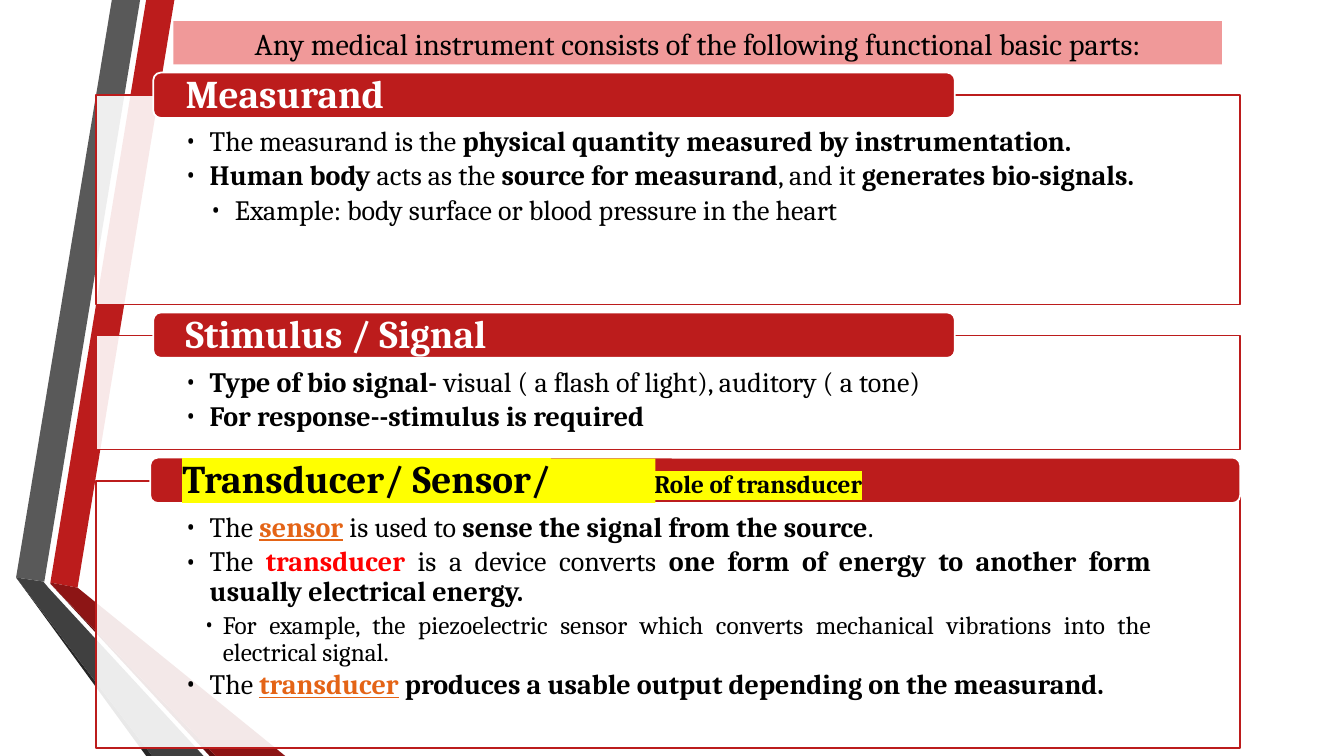
from pptx import Presentation
from pptx import util as u
from pptx.dml.color import RGBColor
from pptx.enum import shapes, text
from pptx.oxml.ns import qn
from lxml import etree

FONT = "Cambria"
RED, WHITE, BLACK, YELLOW = "BC1C1C", "FFFFFF", "000000", "FFFF00"
ORANGE, BRIGHT_RED = "E46416", "FF0000"
ROLE_TAB = 4.68

RIBBONS = [
    (RED, [(0.5, 5.78), (0.77, 5.83), (1.73, 0), (1.45, 0)]),
    ("595959", [(1.39, 0), (1.11, 0), (0.16, 5.73), (0.44, 5.77)]),
    ("262626", [(0.16, 5.73), (1.45, 7.5), (1.51, 7.5)]),
    ("5E0E0E", [(0.5, 5.79), (2.08, 7.5), (2.14, 7.5)]),
    ("8D1515", [(0.5, 5.79), (2.14, 7.5), (2.83, 7.5), (0.77, 5.83), (0.5, 5.78)]),
    ("404040", [(2.02, 7.5), (0.48, 5.83), (0.43, 5.77), (0.16, 5.73), (1.51, 7.5)]),
]

# Run styles: plain, bold, orange underlined link, red term
PLAIN = dict(color=BLACK, bold=False)
BOLD = dict(color=BLACK, bold=True)
LINK = dict(color=ORANGE, bold=True, underline=True)
TERM = dict(color=BRIGHT_RED, bold=True)
HEAD = dict(color=WHITE, bold=True)
MARKED = dict(color=BLACK, bold=True, highlight=YELLOW)

# Bullet kinds: level, left margin, hanging indent, font size
MAIN = (1, 0.25, 0.25, 20)
SUB = (2, 0.5, 0.25, 20)
SMALL_SUB = (2, 0.38, 0.19, 18)

MEASURAND = [
    (MAIN, [("The measurand is the ", PLAIN),
            ("physical quantity measured by instrumentation.", BOLD)]),
    (MAIN, [("Human body ", BOLD), ("acts as the ", PLAIN),
            ("source for measurand", BOLD), (", and it ", PLAIN),
            ("generates bio-signals.", BOLD)]),
    (SUB, [("Example: body surface or blood pressure in the heart", PLAIN)]),
]
STIMULUS = [
    (MAIN, [("Type of bio signal- ", BOLD),
            ("visual ( a flash of light), auditory ( a tone)", PLAIN)]),
    (MAIN, [("For response--stimulus is required", BOLD)]),
]
TRANSDUCER = [
    (MAIN, [("The ", PLAIN), ("sensor", LINK), (" is used to ", PLAIN),
            ("sense the signal from the source", BOLD), (".", PLAIN)]),
    (MAIN, [("The ", PLAIN), ("transducer", TERM), (" is a device converts ", PLAIN),
            ("one form of energy to another form usually electrical energy.", BOLD)]),
    (SMALL_SUB, [("For example, the piezoelectric sensor which converts mechanical "
                  "vibrations into the electrical signal.", PLAIN)]),
    (MAIN, [("The ", PLAIN), ("transducer", LINK),
            (" produces a usable output depending on the measurand.", BOLD)]),
]

# Panel box, header box, header runs, bullets
PANELS = [
    ((0.95, 0.94, 11.35, 2.08), (1.52, 0.72, 7.95, 0.45),
     [("Measurand", 28, HEAD)], MEASURAND),
    ((0.95, 3.33, 11.35, 1.13), (1.52, 3.1, 7.95, 0.45),
     [("Stimulus / Signal", 28, HEAD)], STIMULUS),
    ((0.95, 4.77, 11.35, 2.65), (1.49, 4.54, 10.81, 0.45),
     [("Transducer/ Sensor/\t", 28, MARKED), ("Role of transducer", 18, MARKED)],
     TRANSDUCER),
]


def rgb(value):
    return RGBColor.from_string(value)


def add_run(p, words, size, color, bold, underline=None, highlight=None):
    r = p.add_run()
    r.text = words
    f = r.font
    f.size, f.bold, f.underline = u.Pt(size), bold, underline
    f.color.rgb = rgb(color)
    if highlight:
        mark = etree.SubElement(f._element, qn("a:highlight"))
        etree.SubElement(mark, qn("a:srgbClr"), val=highlight)
    f.name = FONT


def add_box(s, kind, box, fill, line=None):
    sp = s.shapes.add_shape(kind, *map(u.Inches, box))
    sp.shadow.inherit = False
    sp.fill.solid()
    sp.fill.fore_color.rgb = rgb(fill)
    if line:
        sp.line.color.rgb = rgb(line)
        sp.line.width = u.Pt(1.25)
    else:
        sp.line.fill.background()
    return sp


def set_frame(tf, insets, anchor):
    tf.word_wrap = True
    tf.auto_size = text.MSO_AUTO_SIZE.NONE
    tf.vertical_anchor = anchor
    tf.margin_left, tf.margin_top, tf.margin_right, tf.margin_bottom = map(u.Inches, insets)


def add_bullet(p, level, margin, hanging):
    p.level = level
    pPr = p._p.get_or_add_pPr()
    pPr.set("marL", str(u.Inches(margin)))
    pPr.set("indent", str(-u.Inches(hanging)))
    etree.SubElement(pPr, qn("a:buFont"), typeface=FONT)
    etree.SubElement(pPr, qn("a:buChar"), char="•")


def add_ribbons(s):
    for color, points in RIBBONS:
        start, *rest = [tuple(map(u.Inches, pt)) for pt in points]
        builder = s.shapes.build_freeform(*start)
        builder.add_line_segments(rest, close=True)
        sp = builder.convert_to_shape()
        sp.shadow.inherit = False
        sp.fill.solid()
        sp.fill.fore_color.rgb = rgb(color)
        sp.line.fill.background()


def add_title(s, box, words):
    """Format the title placeholder and lift it above the ribbons."""
    sp = s.shapes.title
    sp.element.getparent().append(sp.element)
    sp.left, sp.top, sp.width, sp.height = map(u.Inches, box)
    sp.fill.solid()
    sp.fill.fore_color.rgb = rgb("F09999")
    set_frame(sp.text_frame, (0.1, 0.02, 0.1, 0), text.MSO_ANCHOR.MIDDLE)
    p = sp.text_frame.paragraphs[0]
    p.alignment = text.PP_ALIGN.CENTER
    add_run(p, words, 21.6, **PLAIN)


def add_panel(s, box, bullets):
    sp = add_box(s, shapes.MSO_SHAPE.RECTANGLE, box, WHITE, RED)
    clr = sp.fill._xPr.find(qn("a:solidFill"))[0]
    etree.SubElement(clr, qn("a:alpha"), val="90000")
    tf = sp.text_frame
    set_frame(tf, (0.88, 0.32, 0.88, 0.16), text.MSO_ANCHOR.TOP)
    for i, ((level, margin, hanging, size), runs) in enumerate(bullets):
        p = tf.add_paragraph() if i else tf.paragraphs[0]
        add_bullet(p, level, margin, hanging)
        p.alignment = text.PP_ALIGN.JUSTIFY
        p.line_spacing = 0.9
        p.space_after = u.Pt(0.15 * size)
        for words, style in runs:
            add_run(p, words, size, **style)


def add_header(s, box, runs):
    """Draw a header bar; a second run follows a highlighted tab gap."""
    x, y, w, h = box
    add_box(s, shapes.MSO_SHAPE.ROUNDED_RECTANGLE, box, RED, WHITE)
    if len(runs) > 1:
        add_box(s, shapes.MSO_SHAPE.RECTANGLE,
                (x + 0.33, y + 0.01, ROLE_TAB, h - 0.01), YELLOW)
    label = s.shapes.add_textbox(*map(u.Inches, (x + 0.02, y + 0.02, w - 0.04, h - 0.03)))
    set_frame(label.text_frame, (0.3, 0, 0.3, 0), text.MSO_ANCHOR.MIDDLE)
    p = label.text_frame.paragraphs[0]
    if len(runs) > 1:
        tabs = etree.SubElement(p._p.get_or_add_pPr(), qn("a:tabLst"))
        etree.SubElement(tabs, qn("a:tab"), pos=str(u.Inches(ROLE_TAB)), algn="l")
    p.alignment = text.PP_ALIGN.JUSTIFY
    p.line_spacing = 0.9
    for words, size, style in runs:
        add_run(p, words, size, **style)


def main():
    prs = Presentation()
    prs.slide_width, prs.slide_height = u.Inches(13.33), u.Inches(7.5)
    s = prs.slides.add_slide(prs.slide_layouts[5])
    add_ribbons(s)
    add_title(s, (1.72, 0.21, 10.4, 0.43),
              "Any medical instrument consists of the following functional basic parts:")
    for box, header_box, header, bullets in PANELS:
        add_panel(s, box, bullets)
        add_header(s, header_box, header)
    prs.save("out.pptx")


if __name__ == "__main__":
    main()
